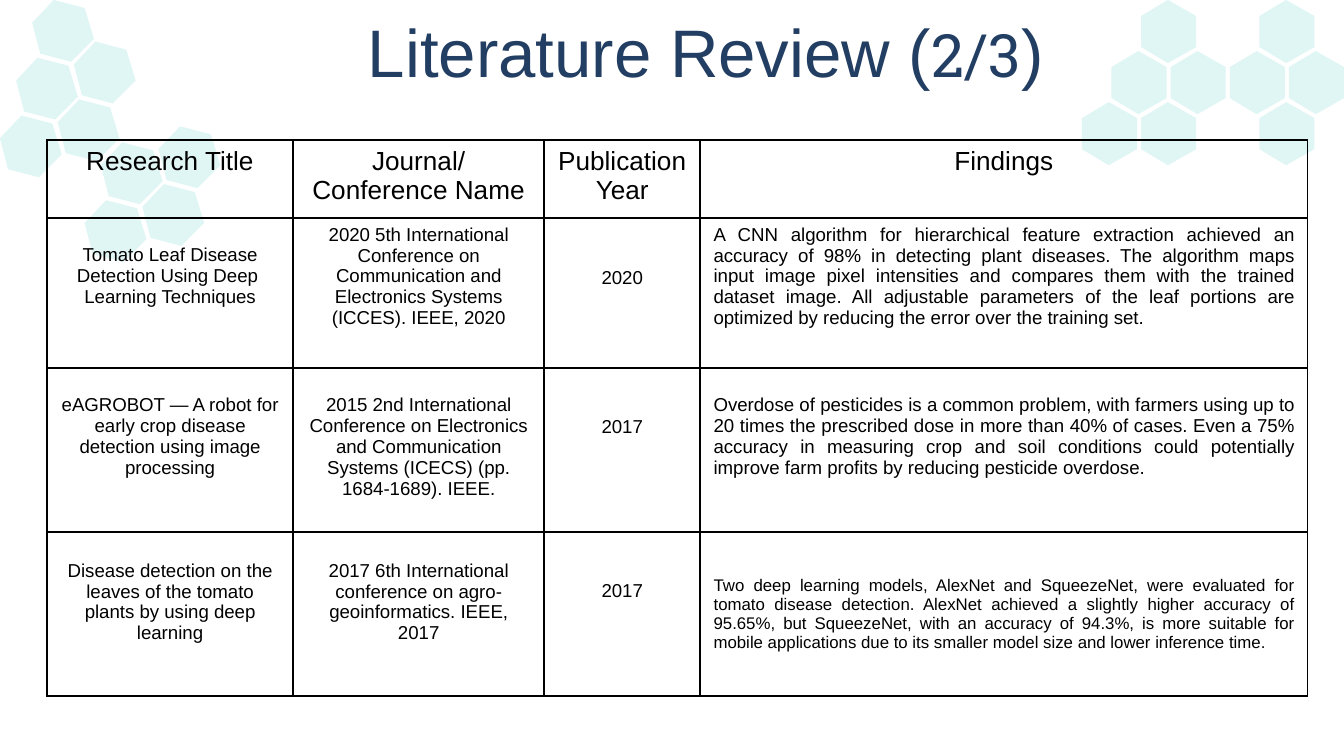
from dataclasses import dataclass

from lxml.etree import SubElement
from pptx import Presentation
from pptx.dml.color import RGBColor
from pptx.enum.text import MSO_ANCHOR, MSO_AUTO_SIZE, PP_ALIGN
from pptx.oxml.ns import qn
from pptx.util import Inches, Pt


@dataclass(frozen=True)
class Theme:
    """Colours, fonts and type sizes of the deck."""
    navy: str = "223E63"
    black: str = "000000"
    mint: str = "E0F6F4"
    font: str = "Arial"
    number_font: str = "Roboto Slab"
    title: int = 36
    number: int = 32
    header: int = 14
    body: int = 10
    small: int = 9
    border: int = 1


THEME = Theme()

TILTED = [(0.29, 0.46), (0.46, 0.29), (0.39, 0.06), (0.16, 0), (0, 0.17), (0.06, 0.4)]
UPRIGHT = [(0.2, 0), (0.41, 0.12), (0.41, 0.35), (0.2, 0.47), (0, 0.35), (0, 0.12)]
TILTED_STEPS = ((0.31, 0.31), (-0.12, 0.43))
UPRIGHT_STEPS = ((0.44, 0), (-0.22, 0.38))
HEXAGON_CLUSTERS = [
    (TILTED, TILTED_STEPS, (0.24, 0), [(0, 0), (1, 0), (0, 1), (1, 1), (0, 2)]),
    (TILTED, TILTED_STEPS, (1.18, 0.94), [(0, 0), (-1, 1), (0, 1), (-1, 2)]),
    (UPRIGHT, UPRIGHT_STEPS, (8.49, 0), [(0, 0), (0, 1), (1, 1), (0, 2), (1, 2)]),
    (UPRIGHT, UPRIGHT_STEPS, (9.37, 0), [(0, 0), (0, 1), (1, 1), (1, 2)]),
]

COLUMN_WIDTHS = [1.83, 1.87, 1.16, 4.52]
ROW_HEIGHTS = [0.58, 1.12, 1.22, 1.22]
HEADERS = ["Research Title", "Journal/Conference Name", "Publication Year", "Findings"]
STUDIES = [
    ["Tomato Leaf Disease Detection Using Deep \nLearning Techniques",
     "2020 5th International Conference on Communication and Electronics Systems "
     "(ICCES). IEEE, 2020",
     "2020",
     "A CNN algorithm for hierarchical feature extraction achieved an accuracy of 98% in "
     "detecting plant diseases. The algorithm maps input image pixel intensities and compares "
     "them with the trained dataset image. All adjustable parameters of the leaf portions are "
     "optimized by reducing the error over the training set."],
    ["eAGROBOT — A robot for early crop disease detection using image processing",
     "2015 2nd International Conference on Electronics and Communication Systems (ICECS) "
     "(pp. 1684-1689). IEEE.",
     "2017",
     "Overdose of pesticides is a common problem, with farmers using up to 20 times the "
     "prescribed dose in more than 40% of cases. Even a 75% accuracy in measuring crop and "
     "soil conditions could potentially improve farm profits by reducing pesticide overdose."],
    ["Disease detection on the leaves of the tomato plants by using deep learning",
     "2017 6th International conference on agro-geoinformatics. IEEE, 2017",
     "2017",
     "Two deep learning models, AlexNet and SqueezeNet, were evaluated for tomato disease "
     "detection. AlexNet achieved a slightly higher accuracy of 95.65%, but SqueezeNet, with "
     "an accuracy of 94.3%, is more suitable for mobile applications due to its smaller model "
     "size and lower inference time."],
]
TOP_MARGINS = [
    [0.2, 0.05, 0.37, 0.05],
    [0.2, 0.2, 0.36, 0.2],
    [0.21, 0.21, 0.36, 0.33],
]


def add_span(para, text, *, size, color, font=THEME.font):
    """Append one formatted run to a paragraph."""
    span = para.add_run()
    span.text = text
    span.font.size = Pt(size)
    span.font.name = font
    span.font.bold = False
    span.font.color.rgb = RGBColor.from_string(color)


def add_hexagon_cluster(page, outline, steps, origin, places):
    """Draw a group of hexagons placed on a lattice."""
    cluster = page.shapes.add_group_shape()
    (across_x, across_y), (down_x, down_y) = steps
    for across, down in places:
        left = origin[0] + across * across_x + down * down_x
        top = origin[1] + across * across_y + down * down_y
        points = [(Inches(left + x), Inches(top + y)) for x, y in outline]
        builder = cluster.shapes.build_freeform(*points[0])
        builder.add_line_segments(points[1:], close=True)
        hexagon = builder.convert_to_shape()
        hexagon.shadow.inherit = False
        hexagon.fill.solid()
        hexagon.fill.fore_color.rgb = RGBColor.from_string(THEME.mint)
        hexagon.line.fill.background()


def format_title(page):
    """Place the title placeholder and write its text."""
    title = page.shapes.title
    title.left, title.top = Inches(1.1), Inches(0)
    title.width, title.height = Inches(8.3), Inches(0.16)
    frame = title.text_frame
    frame.word_wrap = True
    frame.auto_size = MSO_AUTO_SIZE.NONE
    frame.vertical_anchor = MSO_ANCHOR.TOP
    frame.margin_left = frame.margin_right = Inches(0.1)
    frame.margin_top = frame.margin_bottom = Inches(0.1)
    para = frame.paragraphs[0]
    para.alignment = PP_ALIGN.CENTER
    add_span(para, "Literature Review (", size=THEME.title, color=THEME.navy)
    add_span(para, "2/3", size=THEME.number, color=THEME.navy, font=THEME.number_font)
    add_span(para, ")", size=THEME.title, color=THEME.navy)


def add_borders(cell):
    """Give a cell a solid line on all four sides."""
    properties = cell._tc.get_or_add_tcPr()
    for position, side in enumerate(("lnL", "lnR", "lnT", "lnB")):
        line = SubElement(properties, qn(f"a:{side}"), w=str(Pt(THEME.border)))
        fill = SubElement(line, qn("a:solidFill"))
        SubElement(fill, qn("a:srgbClr"), val=THEME.black)
        properties.insert(position, line)


def fill_cell(cell, text, *, size, align=PP_ALIGN.CENTER, top=0.05):
    """Write text into a transparent bordered cell."""
    cell.fill.background()
    add_borders(cell)
    cell.vertical_anchor = MSO_ANCHOR.TOP
    cell.margin_left = cell.margin_right = Inches(0.1)
    cell.margin_top, cell.margin_bottom = Inches(top), Inches(0.05)
    frame = cell.text_frame
    for index, line in enumerate(text.split("\n")):
        para = frame.add_paragraph() if index else frame.paragraphs[0]
        para.alignment = align
        add_span(para, line, size=size, color=THEME.black)


def add_review_table(page):
    """Add the table of reviewed studies."""
    holder = page.shapes.add_table(
        len(ROW_HEIGHTS), len(COLUMN_WIDTHS), Inches(0.35), Inches(1.04),
        Inches(sum(COLUMN_WIDTHS)), Inches(sum(ROW_HEIGHTS)))
    table = holder.table
    table.first_row = table.horz_banding = False
    for column, width in zip(table.columns, COLUMN_WIDTHS):
        column.width = Inches(width)
    for row, height in zip(table.rows, ROW_HEIGHTS):
        row.height = Inches(height)
    for column, text in enumerate(HEADERS):
        fill_cell(table.cell(0, column), text, size=THEME.header)
    findings = len(HEADERS) - 1
    for row, (study, margins) in enumerate(zip(STUDIES, TOP_MARGINS), start=1):
        for column, (text, top) in enumerate(zip(study, margins)):
            is_finding = column == findings
            is_last = row == len(STUDIES)
            fill_cell(
                table.cell(row, column), text, top=top,
                size=THEME.small if is_finding and is_last else THEME.body,
                align=PP_ALIGN.JUSTIFY if is_finding else PP_ALIGN.CENTER)


def main():
    """Build the literature review slide."""
    deck = Presentation()
    deck.slide_width = Inches(10)
    deck.slide_height = deck.slide_width * 9 // 16
    page = deck.slides.add_slide(deck.slide_layouts.get_by_name("Title Only"))
    for cluster in HEXAGON_CLUSTERS:
        add_hexagon_cluster(page, *cluster)
    format_title(page)
    add_review_table(page)
    deck.save("out.pptx")


if __name__ == "__main__":
    main()
